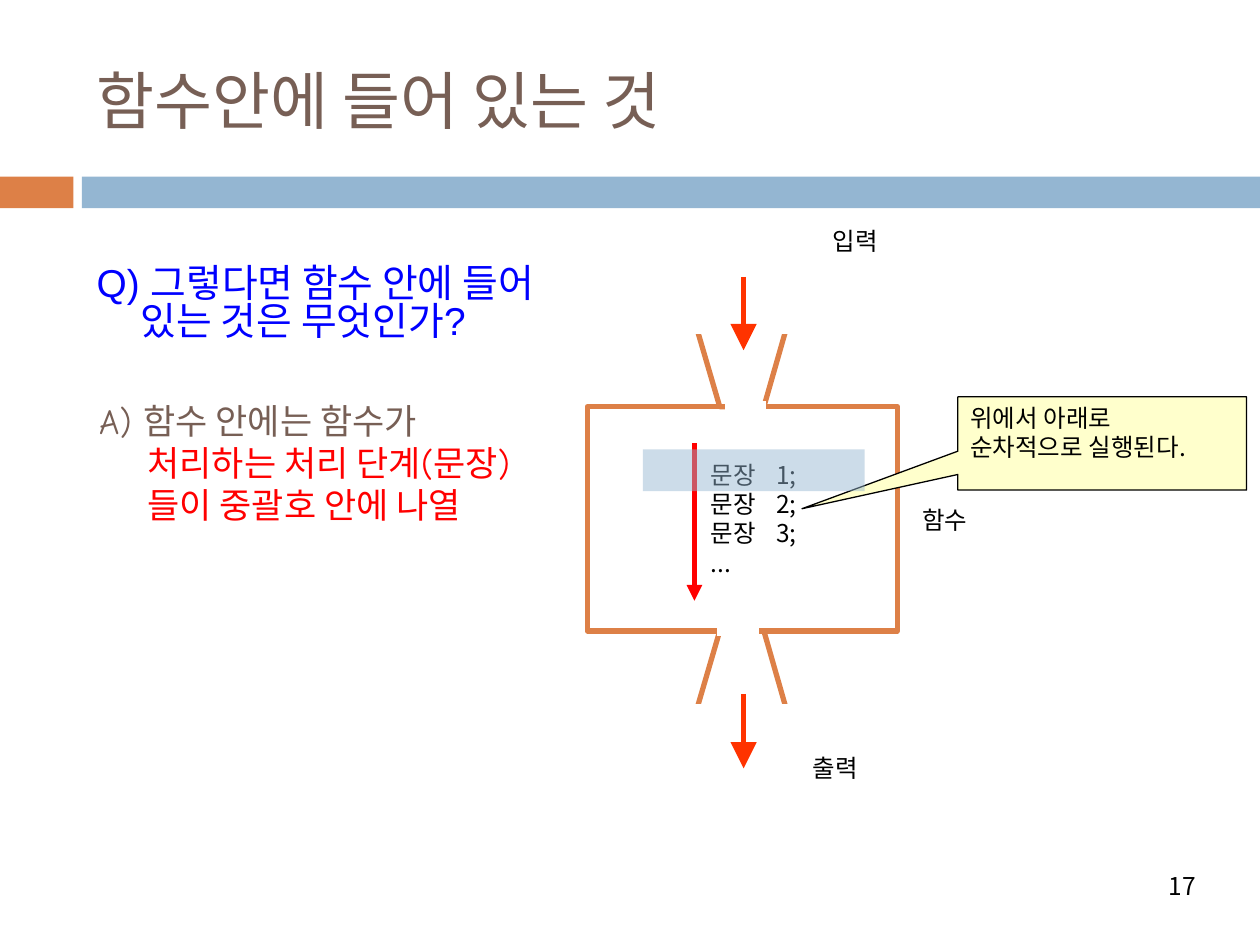
import pptx
import pptx.util
import pptx.dml.color
import pptx.enum.shapes
import pptx.enum.text
import pptx.oxml.ns
import lxml.etree

Cm, Pt = pptx.util.Cm, pptx.util.Pt
RGB = pptx.dml.color.RGBColor
SHAPE = pptx.enum.shapes.MSO_SHAPE
ALIGN = pptx.enum.text.PP_ALIGN
ANCHOR = pptx.enum.text.MSO_ANCHOR
ORANGE = RGB(0xDD, 0x80, 0x47)
SKY = RGB(0x94, 0xB6, 0xD2)
BROWN = RGB(0x77, 0x5F, 0x55)
BLUE = RGB(0x00, 0x00, 0xFF)
RED = RGB(0xFF, 0x00, 0x00)
FLAME = RGB(0xFF, 0x33, 0x00)
CREAM = RGB(0xFF, 0xFF, 0xCC)
WHITE = RGB(0xFF, 0xFF, 0xFF)
BLACK = RGB(0x00, 0x00, 0x00)
SANS = "Noto Sans CJK KR"


def add(node, tag, **attrs):
    """Append a drawing element with attributes to a node."""
    kid = lxml.etree.SubElement(node, pptx.oxml.ns.qn(tag))
    for key, val in attrs.items():
        kid.set(key, str(val))
    return kid


def style(run, size, color, font=SANS):
    """Give a run its size, colour and font."""
    run.font.size, run.font.name = Pt(size), font
    run.font.color.rgb = color
    add(run.font._element, "a:ea", typeface=SANS)


def write(frame, text, size=14, color=BLACK, font=SANS, align=ALIGN.LEFT):
    """Fill a text frame and format all its runs."""
    frame.text = text
    for para in frame.paragraphs:
        para.alignment = align
        for run in para.runs:
            style(run, size, color, font)


def frame(slide, box, wrap=True):
    """Add a text box and return its frame."""
    text = slide.shapes.add_textbox(*map(Cm, box)).text_frame
    text.word_wrap = wrap
    return text


def block(slide, kind, box, fill=None, line=None, width=3):
    """Add a preset shape with a plain fill and line."""
    shape = slide.shapes.add_shape(kind, *map(Cm, box))
    return paint(shape, fill, line, width)


def paint(shape, fill, line, width=3):
    """Set the fill, line and shadow of a shape."""
    shape.shadow.inherit = False
    if fill is None:
        shape.fill.background()
    else:
        shape.fill.solid()
        shape.fill.fore_color.rgb = fill
    if line is None:
        shape.line.fill.background()
    else:
        shape.line.color.rgb, shape.line.width = line, Pt(width)
    return shape


def stroke(slide, start, end, color, width, head=None):
    """Draw a straight line, with an arrowhead if a head size is given."""
    kind = pptx.enum.shapes.MSO_CONNECTOR.STRAIGHT
    link = slide.shapes.add_connector(kind, *map(Cm, (*start, *end)))
    link.line.color.rgb, link.line.width = color, Pt(width)
    if head:
        add(link.line._get_or_add_ln(), "a:tailEnd", type="triangle", w=head, len=head)
    add(link._element.spPr, "a:effectLst")


def header(slide, box):
    """Place the title and the two-part band below it."""
    left, top, wide, high = box
    title = slide.shapes.title
    title.left, title.top = Cm(left + 1.7), Cm(top + 0.64)
    title.width, title.height = Cm(wide - 2.74), Cm(2.74)
    title.text_frame.vertical_anchor = ANCHOR.MIDDLE
    write(title.text_frame, "함수안에 들어 있는 것", 36, BROWN)
    for start, end, color in ((0, 1.48, ORANGE), (1.65, wide, SKY)):
        block(slide, SHAPE.RECTANGLE, (left + start, top + high - 0.64, end - start, 0.64), color)


def hang(para, depth):
    """Give a paragraph a hanging indent."""
    props = para._p.get_or_add_pPr()
    props.set("marL", str(Cm(depth)))
    props.set("indent", str(-Cm(depth)))


def panel(slide, box):
    """Write the question and the answer."""
    left, top, wide, high = box
    ask = frame(slide, (left, top, wide, 1.93))
    write(ask, "Q) 그렇다면 함수 안에 들어 있는 것은 무엇인가?", 22.2, BLUE, "Arial")
    hang(ask.paragraphs[0], 0.89)
    ask.paragraphs[0].line_spacing = 0.8
    reply = frame(slide, (left + 0.05, top + 2.64, wide, high - 2.64))
    write(reply, "A) 함수 안에는 함수가 ", 20, BROWN, "Comic Neue")
    para = reply.paragraphs[0]
    hang(para, 0.97)
    run = para.add_run()
    run.text = "처리하는 처리 단계(문장)들이 중괄호 안에 나열"
    style(run, 20, RED, "Comic Neue")


def funnel(slide, left, neck, mouth):
    """Draw a funnel from its neck to its mouth."""
    spots = [(2.67, neck), (3.56, neck), (4.01, mouth), (2.21, mouth)]
    dots = [(Cm(left + x), Cm(y)) for x, y in spots]
    form = slide.shapes.build_freeform(*dots[0])
    form.add_line_segments(dots[1:], close=True)
    paint(form.convert_to_shape(), None, ORANGE)


def steps(slide, box):
    """List the statements in the function."""
    text = frame(slide, box)
    write(text, "\n".join([f"문장\t{num};" for num in (1, 2, 3)] + ["..."]))
    for para in text.paragraphs[:3]:
        tabs = add(para._p.get_or_add_pPr(), "a:tabLst")
        add(tabs, "a:tab", pos=Cm(1.32), algn="l")


def machine(slide, box):
    """Draw the function with its input, output and statements."""
    left, top, wide, high = box
    base = top + high
    block(slide, SHAPE.RECTANGLE, box, line=ORANGE)
    for neck, mouth, gap in ((top, top - 1.57, 2.77), (base, base + 1.57, 2.62)):
        funnel(slide, left, neck, mouth)
        for start, end, y in ((2.06, 4.29, mouth), (gap, gap + 0.84, neck)):
            stroke(slide, (left + start, y), (left + end, y), WHITE, 6)
    for word, x, y in (("함수", 6.5, 1.85), ("입력", 4.7, -3.76), ("출력", 4.29, 6.86)):
        write(frame(slide, (left + x, top + y, 1.5, 0.84), False), word)
    for x, start, end, color, head in (
        (3.15, -2.62, -1.14, FLAME, "lg"),
        (3.15, 5.79, 7.29, FLAME, "lg"),
        (2.16, 0.74, 3.91, RED, "med"),
    ):
        stroke(slide, (left + x, top + start), (left + x, top + end), color, 3, head)
    steps(slide, (left + 2.24, top + 0.94, 2.5, 2.6))
    note(slide, (left + 7.47, top - 0.2, 5.82, 1.88))
    mark = block(slide, SHAPE.RECTANGLE, (left + 1.12, top + 0.86, 4.47, 0.84), SKY)
    tint = mark._element.spPr.find(".//" + pptx.oxml.ns.qn("a:srgbClr"))
    add(tint, "a:alpha", val=47000)


def note(slide, box):
    """Add the callout on the order of the statements."""
    call = block(slide, SHAPE.RECTANGULAR_CALLOUT, box, CREAM, BLACK, 0.75)
    call.adjustments[0], call.adjustments[1] = -1.04, 0.7
    call.text_frame.vertical_anchor = ANCHOR.TOP
    write(call.text_frame, "위에서 아래로\n순차적으로 실행된다.")


def footer(slide, box):
    """Write the page number."""
    text = frame(slide, box)
    text.vertical_anchor = ANCHOR.MIDDLE
    write(text, "17", align=ALIGN.RIGHT)


def main():
    """Build the slide and save it."""
    deck = pptx.Presentation()
    deck.slide_width, deck.slide_height = Cm(25.4), Cm(19.05)
    slide = deck.slides.add_slide(deck.slide_layouts[5])
    header(slide, (0, 0, 25.4, 4.2))
    panel(slide, (1.7, 5.28, 9.55, 6.75))
    machine(slide, (11.84, 8.2, 6.25, 4.52))
    footer(slide, (17.3, 17.35, 7.06, 1.02))
    deck.save("out.pptx")


if __name__ == "__main__":
    main()
